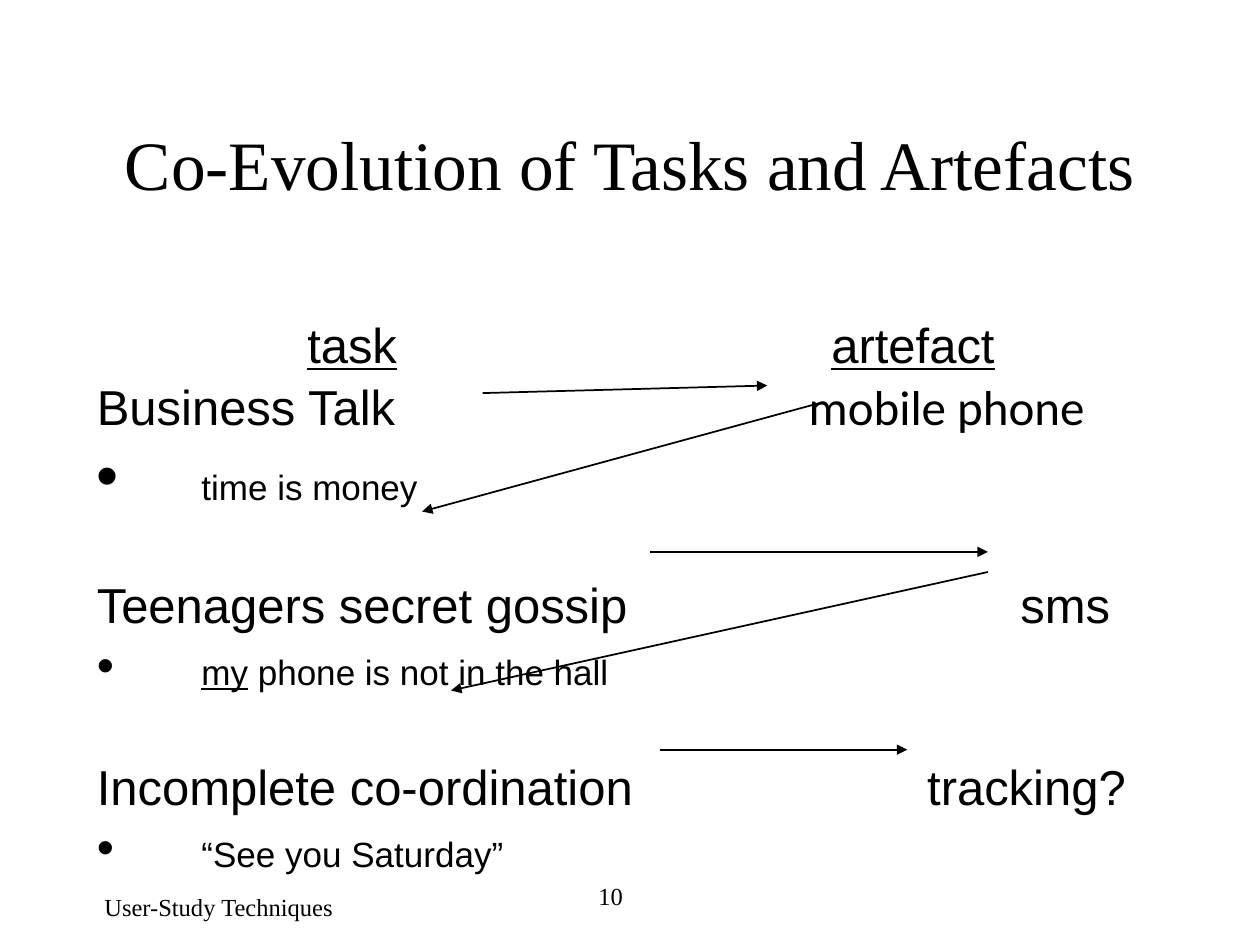
from dataclasses import dataclass

from pptx import Presentation
from pptx.dml.color import RGBColor
from pptx.enum import shapes, text
from pptx.oxml.ns import qn
from pptx.util import Inches, Pt
from lxml import etree


@dataclass
class Theme:
    ink: RGBColor = RGBColor(0, 0, 0)
    serif: str = "Times New Roman"
    sans: str = "Arial"
    alt: str = "Calibri"
    title: float = 39.6
    body: float = 28
    lead: float = 36
    note: float = 20
    foot: float = 14
    gap: float = 1.5
    skip: float = 35.2
    rule: float = 1


class Slide:
    def __init__(self, deck, theme):
        self.theme = theme
        self.slide = deck.slides.add_slide(deck.slide_layouts[6])

    def box(self, left, top, width, height, wrap=True):
        shape = self.slide.shapes.add_textbox(
            Inches(left), Inches(top), Inches(width), Inches(height))
        shape.text_frame.word_wrap = wrap
        return shape.text_frame

    def run(self, para, words, size, face, under=False):
        run = para.add_run()
        run.text = words
        font = run.font
        font.size, font.name = Pt(size), face
        font.color.rgb = self.theme.ink
        font.underline = under

    def title(self, words, *place):
        frame = self.box(*place)
        frame.vertical_anchor = text.MSO_ANCHOR.MIDDLE
        para = frame.paragraphs[0]
        para.alignment = text.PP_ALIGN.CENTER
        self.run(para, words, self.theme.title, self.theme.serif)

    def foot(self, words, *place):
        para = self.box(*place, wrap=False).paragraphs[0]
        self.run(para, words, self.theme.foot, self.theme.serif)

    def line(self, frame, runs, stops, before=None, bullet=False):
        """Add a paragraph whose tabs stop at the given inches."""
        first = not frame.paragraphs[0].runs
        para = frame.paragraphs[0] if first else frame.add_paragraph()
        props = para._p.get_or_add_pPr()
        if bullet:
            etree.SubElement(props, qn("a:buFont"), typeface=self.theme.sans)
            etree.SubElement(props, qn("a:buChar"), char="•")
        tabs = etree.SubElement(props, qn("a:tabLst"))
        for stop in stops:
            etree.SubElement(tabs, qn("a:tab"), pos=str(Inches(stop)), algn="l")
        if not first:
            para.space_before = Pt(before or self.theme.gap)
        for item in runs:
            self.run(para, *item)

    def pair(self, frame, task, tool, stop, before=None, face=None):
        """Add a task with its artefact at a tab stop."""
        look = self.theme
        runs = [(task + "\t", look.body, look.sans),
                (tool, look.body, face or look.sans)]
        self.line(frame, runs, [stop], before)

    def note(self, frame, words, lead=None, mark=""):
        look = self.theme
        runs = [("\t", lead or look.body, look.sans)]
        if mark:
            runs.append((mark, look.note, look.sans, True))
        runs.append((words, look.note, look.sans))
        self.line(frame, runs, [0.83], bullet=True)

    def arrow(self, x1, y1, x2, y2):
        link = self.slide.shapes.add_connector(
            shapes.MSO_CONNECTOR.STRAIGHT,
            Inches(x1), Inches(y1), Inches(x2), Inches(y2))
        link.line.color.rgb = self.theme.ink
        link.line.width = Pt(self.theme.rule)
        etree.SubElement(link.line._get_or_add_ln(), qn("a:tailEnd"),
                         type="triangle")
        etree.SubElement(link._element.spPr, qn("a:effectLst"))


def main():
    deck = Presentation()
    deck.slide_width, deck.slide_height = Inches(10), Inches(7.5)
    look = Theme()
    page = Slide(deck, look)

    page.foot("10", 4.65, 6.94, 0.42, 0.33)
    page.foot("User-Study Techniques", 0.73, 7.03, 2.03, 0.33)
    page.title("Co-Evolution of Tasks and Artefacts", 0.75, 0.67, 8.5, 1.25)

    body = page.box(0.67, 2.45, 8.82, 4.43)
    heads = [("\t", look.body, look.sans), ("task", look.body, look.sans, True),
             ("\t", look.body, look.sans), ("artefact", look.body, look.sans, True)]
    page.line(body, heads, [1.67, 5.83])
    page.pair(body, "Business Talk", "mobile phone", 5.65, face=look.alt)
    page.note(body, "time is money", lead=look.lead)
    page.pair(body, "Teenagers secret gossip", "sms", 7.33, look.skip)
    page.note(body, " phone is not in the hall", mark="my")
    page.pair(body, "Incomplete co-ordination", "tracking?", 6.59, look.skip)
    page.note(body, "“See you Saturday”")

    for ends in [(3.83, 3.12, 6.09, 3.06), (6.5, 3.2, 3.35, 4.06),
                 (5.16, 4.38, 7.84, 4.38), (7.84, 4.54, 3.58, 5.48),
                 (5.24, 5.95, 7.2, 5.95)]:
        page.arrow(*ends)

    deck.save("out.pptx")


if __name__ == "__main__":
    main()
